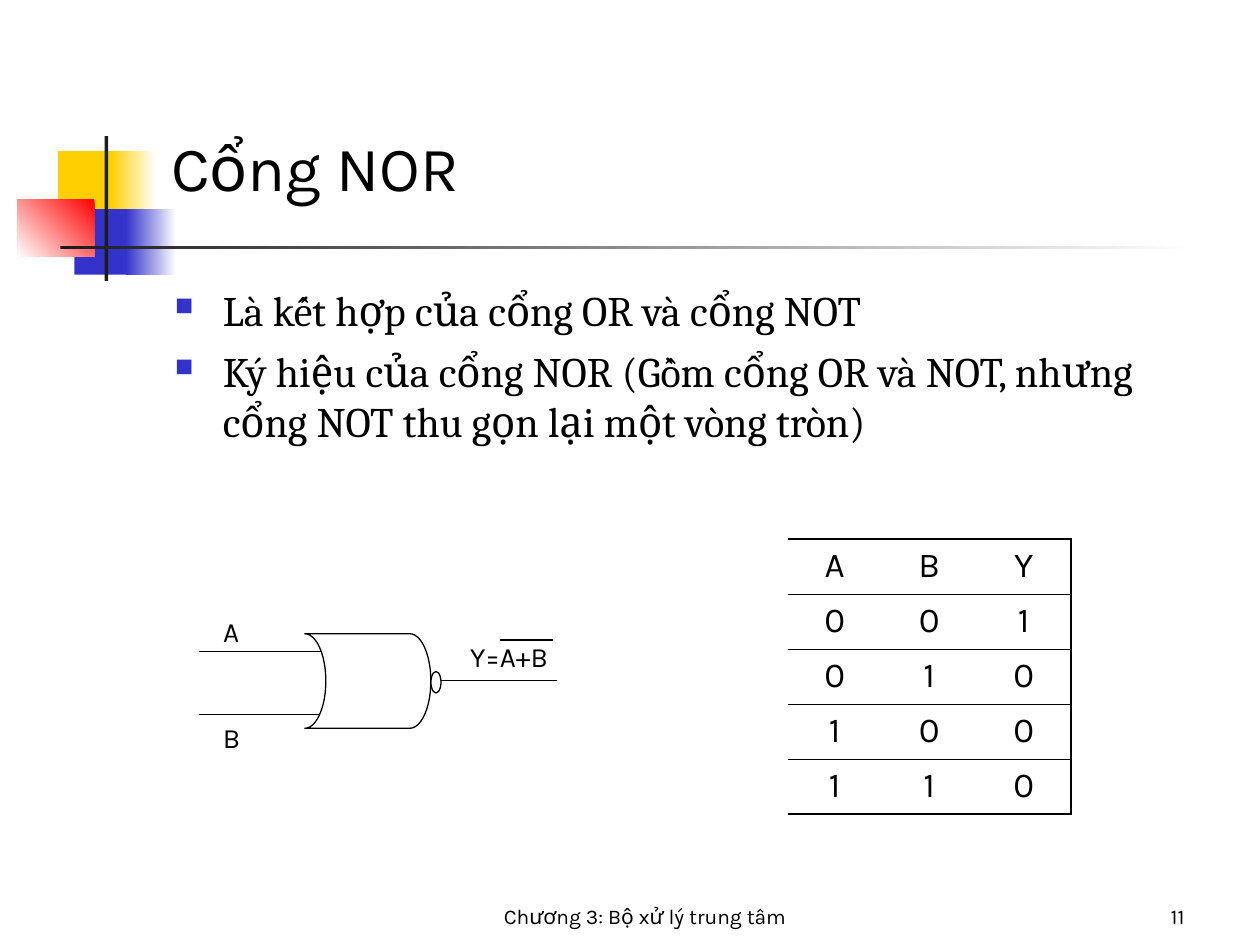
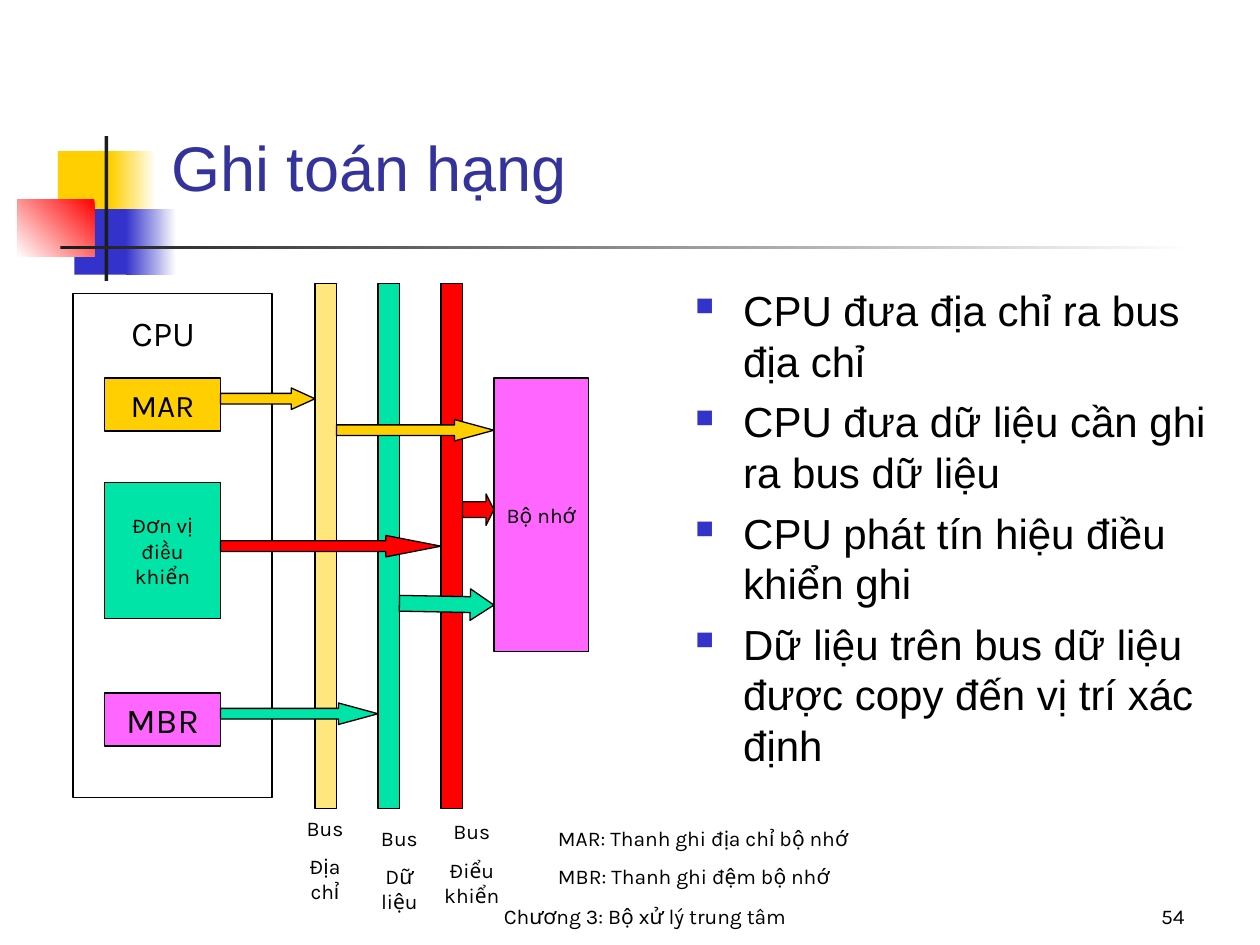
"""Build two lecture slides: the NOR gate and writing an operand."""
from dataclasses import dataclass
from typing import Optional

from lxml.etree import SubElement
from pptx import Presentation
from pptx.dml.color import RGBColor
from pptx.enum.shapes import MSO_CONNECTOR, MSO_SHAPE as SHAPE
from pptx.enum.text import MSO_ANCHOR as ANCHOR, PP_ALIGN as ALIGN
from pptx.oxml.ns import qn
from pptx.util import Inches, Pt

BLACK, WHITE, DARK = "000000", "FFFFFF", "1C1C1C"
YELLOW, BLUE, RED = "FFCF01", "3333CC", "FF0000"
GREEN, PINK, CREAM, NAVY = "00E4A8", "FF66FF", "FFE67D", "33339B"
FONT = "Karla"
FOOTER = "Chương 3: Bộ xử lý trung tâm"
THIN, THICK = 0.45, 1.08


@dataclass
class Box:
    """A place on the slide, in inches."""
    x: float
    y: float
    w: float
    h: float

    def emu(self) -> list:
        """Return the place as lengths."""
        return [Inches(v) for v in (self.x, self.y, self.w, self.h)]


@dataclass
class Label:
    """A piece of text with its style."""
    box: Box
    text: str
    size: float = 12
    align: ALIGN = ALIGN.CENTER
    before: float = 0
    anchor: ANCHOR = ANCHOR.TOP
    font: str = FONT
    color: str = BLACK


@dataclass
class Block:
    """An outlined shape that may hold text."""
    box: Box
    fill: str = WHITE
    text: str = ""
    size: float = 12
    kind: SHAPE = SHAPE.RECTANGLE


@dataclass
class Band:
    """A borderless bar, fading from one colour to another if both are given."""
    box: Box
    color: str
    end: Optional[str] = None
    angle: float = 0


@dataclass
class Arrow:
    """A block arrow whose head takes a quarter of its length."""
    box: Box
    fill: str
    turn: float = 0


@dataclass
class Wire:
    """A straight horizontal line."""
    x: float
    y: float
    length: float


BANDS = [
    Band(Box(0.46, 1.2, 0.48, 0.52), YELLOW),
    Band(Box(0.88, 1.2, 0.36, 0.52), YELLOW, WHITE),
    Band(Box(0.59, 1.66, 0.46, 0.52), BLUE),
    Band(Box(1, 1.66, 0.4, 0.52), BLUE, WHITE),
    Band(Box(0.14, 1.58, 0.61, 0.46), RED, WHITE, 225),
    Band(Box(0.83, 1.08, 0.03, 1.15), DARK),
    Band(Box(0.48, 1.95, 9, 0.03), DARK, WHITE),
]

WIRES = [Wire(1.58, 5.17, 1), Wire(1.58, 5.67, 1), Wire(3.42, 5.4, 1)]
OVERLINE = Wire(3.97, 5.08, 0.42)
GATE_LABELS = [
    Label(Box(1.67, 4.83, 0.33, 0.37), "A", 16, before=10),
    Label(Box(1.67, 5.67, 0.33, 0.37), "B", 16, before=10),
    Label(Box(3.58, 5.03, 0.92, 0.37), "Y=A+B", 16, before=10),
]
GATE = Block(Box(2.42, 5.03, 1, 0.75), kind=SHAPE.FLOWCHART_STORED_DATA)
INVERTER = Block(Box(3.42, 5.33, 0.08, 0.17), kind=SHAPE.FLOWCHART_CONNECTOR)
TRUTH_BOX = Box(6.25, 4.28, 2.25, 2.18)
TRUTH_ROWS = ["ABY"] + [f"{a}{b}{int(not (a or b))}" for a in (0, 1) for b in (0, 1)]

CPU_BLOCKS = [
    Block(Box(0.58, 2.33, 1.58, 4)),
    Block(Box(0.83, 3, 0.92, 0.42), YELLOW, "MAR", 18),
    Block(Box(0.83, 5.5, 0.92, 0.42), PINK, "MBR", 20),
    Block(Box(0.83, 3.83, 0.92, 1.08), GREEN, "Đơn vị\nđiều\nkhiển"),
]
BUSES = [Block(Box(2.5 + i * 0.5, 2.25, 0.17, 4.17), c)
         for i, c in enumerate((CREAM, GREEN, RED))]
MEMORY = Block(Box(3.92, 3, 0.75, 2.17), PINK, "Bộ nhớ")
ARROWS = [
    Arrow(Box(1.75, 3.08, 0.75, 0.17), YELLOW),
    Arrow(Box(1.75, 4.25, 1.75, 0.17), RED),
    Arrow(Box(1.75, 5.58, 1.25, 0.17), GREEN),
    Arrow(Box(2.67, 3.33, 1.25, 0.17), YELLOW),
    Arrow(Box(3.17, 4.67, 0.75, 0.25), GREEN, 1.1),
    Arrow(Box(3.67, 3.92, 0.25, 0.25), RED),
]
BUS_LABELS = [
    Label(Box(0.92, 2.42, 0.75, 0.44), "CPU", 20, before=12.5),
    Label(Box(2.33, 6.42, 0.5, 0.81), "Bus\nĐịa chỉ", before=7.5),
    Label(Box(2.92, 6.5, 0.5, 0.81), "Bus\nDữ liệu", before=7.5),
    Label(Box(3.33, 6.45, 0.83, 0.81), "Bus\nĐiểu khiển", before=7.5),
    Label(Box(4.33, 6.5, 2.58, 0.81),
          "MAR: Thanh ghi địa chỉ bộ nhớ\nMBR: Thanh ghi đệm bộ nhớ",
          align=ALIGN.LEFT, before=7.5),
]


def rgb(color: str) -> RGBColor:
    """Turn a hex string into a colour."""
    return RGBColor.from_string(color)


def style_text(tf, size: float, align: ALIGN, before: float = 0,
               font: str = FONT, color: str = BLACK) -> None:
    """Format every paragraph and run of a text frame."""
    for p in tf.paragraphs:
        p.alignment = align
        p.space_before = Pt(before)
        for r in p.runs:
            r.font.size, r.font.name = Pt(size), font
            r.font.color.rgb = rgb(color)


def add_label(s, label: Label):
    """Add a text box and return its text frame."""
    tf = s.shapes.add_textbox(*label.box.emu()).text_frame
    tf.word_wrap = True
    tf.vertical_anchor = label.anchor
    tf.text = label.text
    style_text(tf, label.size, label.align, label.before, label.font, label.color)
    return tf


def add_bullets(s, label: Label) -> None:
    """Add text with a square bullet before each paragraph."""
    for p in add_label(s, label).paragraphs:
        props = p._p.get_or_add_pPr()
        props.set("marL", str(Inches(0.38)))
        props.set("indent", str(-Inches(0.38)))
        SubElement(SubElement(props, qn("a:buClr")), qn("a:srgbClr"), val=BLUE)
        SubElement(props, qn("a:buSzPct"), val="60000")
        SubElement(props, qn("a:buChar"), char="■")


def add_shape(s, kind: SHAPE, box: Box, fill: str):
    """Add an outlined shape without a shadow."""
    sp = s.shapes.add_shape(kind, *box.emu())
    sp.shadow.inherit = False
    sp.fill.solid()
    sp.fill.fore_color.rgb = rgb(fill)
    sp.line.color.rgb = rgb(BLACK)
    sp.line.width = Pt(0.75)
    return sp


def add_block(s, block: Block):
    """Add a block with its centred text."""
    sp = add_shape(s, block.kind, block.box, block.fill)
    if block.text:
        tf = sp.text_frame
        tf.word_wrap = False
        tf.vertical_anchor = ANCHOR.MIDDLE
        tf.text = block.text
        style_text(tf, block.size, ALIGN.CENTER)
    return sp


def add_band(s, band: Band) -> None:
    """Add a plain or fading bar."""
    sp = add_shape(s, SHAPE.RECTANGLE, band.box, band.color)
    sp.line.fill.background()
    if band.end:
        sp.fill.gradient()
        sp.fill.gradient_angle = band.angle
        for stop, color in zip(sp.fill.gradient_stops, (band.color, band.end)):
            stop.color.rgb = rgb(color)


def add_arrow(s, arrow: Arrow) -> None:
    """Add a right arrow."""
    sp = add_shape(s, SHAPE.RIGHT_ARROW, arrow.box, arrow.fill)
    sp.adjustments[1] = arrow.box.w / arrow.box.h / 4
    sp.rotation = arrow.turn


def add_wire(s, wire: Wire) -> None:
    """Add a thin black line."""
    y = Inches(wire.y)
    c = s.shapes.add_connector(MSO_CONNECTOR.STRAIGHT, Inches(wire.x), y,
                               Inches(wire.x + wire.length), y)
    c.line.color.rgb = rgb(BLACK)
    c.line.width = Pt(0.75)
    SubElement(c._element.spPr, qn("a:effectLst"))


def set_border(cell, side: str, width: float) -> None:
    """Draw one side of a cell, or hide it when the width is zero."""
    ln = SubElement(cell._tc.get_or_add_tcPr(), qn(f"a:ln{side}"), w=str(Pt(width)))
    if width:
        SubElement(SubElement(ln, qn("a:solidFill")), qn("a:srgbClr"), val=BLACK)
    else:
        SubElement(ln, qn("a:noFill"))


def add_truth_table(s, box: Box, rows: list) -> None:
    """Add a table ruled between rows and closed on the right."""
    last_row, last_col = len(rows) - 1, len(rows[0]) - 1
    table = s.shapes.add_table(len(rows), len(rows[0]), *box.emu()).table
    table.first_row = table.horz_banding = False
    for i, row in enumerate(rows):
        for j, value in enumerate(row):
            cell = table.cell(i, j)
            cell.text = value
            style_text(cell.text_frame, 20, ALIGN.CENTER, 5)
            set_border(cell, "L", 0)
            set_border(cell, "R", THICK if j == last_col else 0)
            set_border(cell, "T", THIN if i else THICK)
            set_border(cell, "B", THICK if i == last_row else THIN)
            cell.fill.background()


def add_slide(prs, title: str, number: int, font: str = FONT, color: str = BLACK):
    """Add a slide with the shared bands, title and footer."""
    s = prs.slides.add_slide(prs.slide_layouts[6])
    for band in BANDS:
        add_band(s, band)
    add_label(s, Label(Box(1.26, 1, 8.52, 0.67), title, 36, ALIGN.LEFT,
                       anchor=ANCHOR.BOTTOM, font=font, color=color))
    add_label(s, Label(Box(2.08, 6.92, 6.08, 0.5), FOOTER, anchor=ANCHOR.BOTTOM))
    add_label(s, Label(Box(8.33, 6.92, 1.17, 0.5), str(number),
                       align=ALIGN.RIGHT, anchor=ANCHOR.BOTTOM))
    return s


def build_nor_gate(prs) -> None:
    """Build the slide on the NOR gate."""
    s = add_slide(prs, "Cổng NOR", 11)
    add_bullets(s, Label(
        Box(1.29, 2.21, 8.5, 1.46),
        "Là kết hợp của cổng OR và cổng NOT\n"
        "Ký hiệu của cổng NOR (Gồm cổng OR và NOT, nhưng cổng NOT thu gọn lại "
        "một vòng tròn)", 24, ALIGN.LEFT, 6, font="Cambria"))
    add_truth_table(s, TRUTH_BOX, TRUTH_ROWS)
    for wire in WIRES:
        add_wire(s, wire)
    for label in GATE_LABELS:
        add_label(s, label)
    add_block(s, GATE)._element.spPr.get_or_add_xfrm().set("flipH", "1")
    add_block(s, INVERTER)
    add_wire(s, OVERLINE)


def build_operand_write(prs) -> None:
    """Build the slide on writing an operand."""
    s = add_slide(prs, "Ghi toán hạng", 54, "Arial", NAVY)
    add_bullets(s, Label(
        Box(5.42, 2.21, 4.38, 3.96),
        "CPU đưa địa chỉ ra bus địa chỉ\n"
        "CPU đưa dữ liệu cần ghi ra bus dữ liệu\n"
        "CPU phát tín hiệu điều khiển ghi\n"
        "Dữ liệu trên bus dữ liệu được copy đến vị trí xác định",
        24, ALIGN.LEFT, 6, font="Arial"))
    for block in [*CPU_BLOCKS, *BUSES, MEMORY]:
        add_block(s, block)
    for arrow in ARROWS:
        add_arrow(s, arrow)
    for label in BUS_LABELS:
        add_label(s, label)


def main() -> None:
    """Build and save the presentation."""
    prs = Presentation()
    prs.slide_width, prs.slide_height = Inches(10), Inches(7.5)
    build_nor_gate(prs)
    build_operand_write(prs)
    prs.save("out.pptx")


if __name__ == "__main__":
    main()
